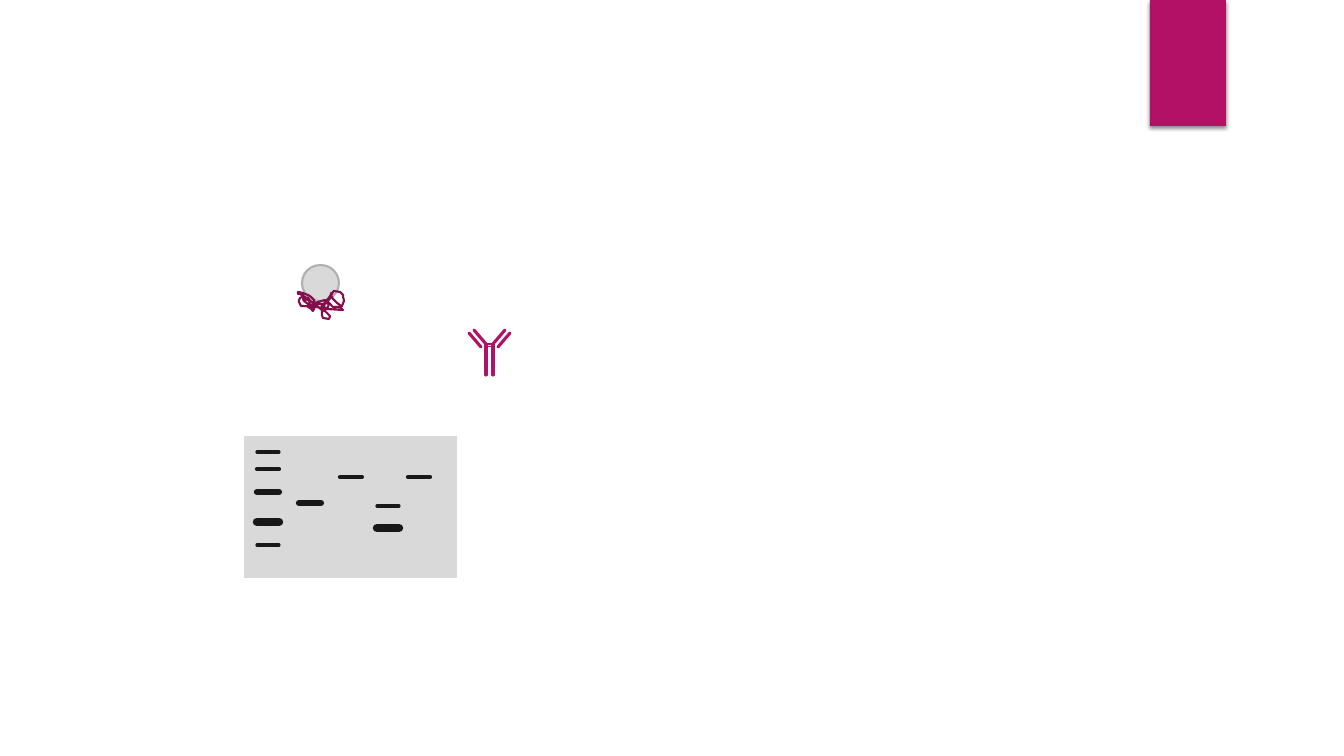
from lxml.etree import SubElement
from pptx import Presentation
from pptx.dml.color import RGBColor
from pptx.enum.shapes import MSO_CONNECTOR, MSO_SHAPE
from pptx.oxml.ns import qn
from pptx.util import Pt

PX = 914400 / 100.8
COLORS = {"accent": "B31166", "protein": "840D4B", "gel": "D9D9D9",
          "band": "181818", "bead_edge": "B0B0B0", "shadow": "000000"}

LANE_X = [257, 299, 340, 377, 408]
BAND_WIDTH = 22
BANDS = [(0, 452, 2.25), (0, 469, 3), (0, 492, 4.5), (0, 522, 6), (0, 545, 2.25),
         (1, 503, 4.5), (2, 477, 3), (3, 528, 6), (3, 506, 2.25), (4, 477, 3)]

ARMS = [(493, 345, 493, 375), (498, 347, 510, 333), (505, 330, 493, 344)]
MIRROR_SUM = 979
HINGES = [344, 347]

PROTEIN = [
    (17, 16), (5, 15), (3, 15), (2, 13), (1, 11), (1, 9), (2, 7), (4, 6), (10, 7),
    (11, 8), (12, 16), (14, 19), (15, 20), (16, 18), (16, 16), (17, 14), (16, 9),
    (12, 5), (10, 4), (7, 3), (5, 2), (0, 1), (0, 3), (2, 3), (7, 6), (14, 11),
    (19, 15), (24, 19), (27, 20), (32, 25), (31, 28), (25, 27), (24, 24), (24, 14),
    (25, 13), (27, 12), (31, 13), (30, 16), (29, 17), (27, 17), (17, 16), (10, 13),
    (6, 10), (5, 8), (10, 9), (11, 10), (15, 11), (16, 12), (18, 13), (20, 13),
    (26, 13), (27, 11), (30, 10), (33, 6), (33, 2), (33, 4), (34, 6), (35, 8),
    (36, 9), (39, 12), (42, 14), (43, 17), (45, 19), (28, 18), (26, 17), (27, 11),
    (30, 8), (32, 5), (34, 3), (35, 1), (36, 0), (42, 1), (44, 3), (45, 4), (45, 5),
    (46, 10), (44, 15), (43, 16), (35, 16), (32, 13), (29, 10), (27, 9), (20, 11),
    (15, 13), (10, 15), (9, 15), (10, 16), (14, 18)]


def px(n):
    """Turn px into EMU."""
    return round(n * PX)


class Canvas:
    """Draw styled elements on the current slide."""

    def __init__(self, s):
        """Keep the slide."""
        self.s = s

    def group(self):
        """Add a group and return its shapes."""
        return self.s.shapes.add_group_shape().shapes

    def stroke(self, line, color, weight):
        """Set the colour and weight of a line."""
        line.color.rgb = RGBColor.from_string(COLORS[color])
        line.width = Pt(weight)

    def shape(self, shapes, kind, x, y, w, h, fill, edge=None):
        """Add a filled preset shape."""
        sp = shapes.add_shape(kind, px(x), px(y), px(w), px(h))
        sp.shadow.inherit = False
        sp.fill.solid()
        sp.fill.fore_color.rgb = RGBColor.from_string(COLORS[fill])
        if edge:
            self.stroke(sp.line, edge, 1.5)
        else:
            sp.line.fill.background()
        return sp

    def drop_shadow(self, sp):
        """Give a shape a soft shadow below it."""
        effects = sp._element.spPr.find(qn("a:effectLst"))
        outer = SubElement(effects, qn("a:outerShdw"), blurRad=str(Pt(3)),
                           dist=str(Pt(2)), dir="5400000", rotWithShape="0")
        color = SubElement(outer, qn("a:srgbClr"), val=COLORS["shadow"])
        SubElement(color, qn("a:alpha"), val="45000")

    def line(self, shapes, x1, y1, x2, y2, color, weight):
        """Add a straight line with round ends."""
        c = shapes.add_connector(MSO_CONNECTOR.STRAIGHT, px(x1), px(y1), px(x2), px(y2))
        self.stroke(c.line, color, weight)
        c.line._get_or_add_ln().set("cap", "rnd")
        SubElement(c._element.spPr, qn("a:effectLst"))

    def outline(self, shapes, x, y, points, color, weight):
        """Add an unfilled closed outline."""
        builder = shapes.build_freeform(*points[0], scale=PX)
        builder.add_line_segments(points[1:], close=True)
        sp = builder.convert_to_shape(px(x), px(y))
        sp.shadow.inherit = False
        sp.fill.background()
        self.stroke(sp.line, color, weight)


def main():
    """Build and save the slide."""
    prs = Presentation()
    prs.slide_width, prs.slide_height = px(1344), px(756)
    s = prs.slides.add_slide(prs.slide_layouts[6])
    canvas = Canvas(s)

    tab = canvas.shape(s.shapes, MSO_SHAPE.RECTANGLE, 1150, 0, 76, 126, "accent")
    canvas.drop_shadow(tab)

    gel = canvas.group()
    canvas.shape(gel, MSO_SHAPE.FLOWCHART_PROCESS, 244, 436, 213, 142, "gel")
    for lane, y, weight in BANDS:
        x = LANE_X[lane]
        canvas.line(gel, x, y, x + BAND_WIDTH, y, "band", weight)

    bead = canvas.group()
    canvas.shape(bead, MSO_SHAPE.OVAL, 302, 265, 37, 36, "gel", "bead_edge")
    canvas.outline(bead, 298, 291, PROTEIN, "protein", 1.5)

    antibody = canvas.group()
    for x1, y1, x2, y2 in ARMS:
        canvas.line(antibody, x1, y1, x2, y2, "accent", 2.25)
        canvas.line(antibody, MIRROR_SUM - x1, y1, MIRROR_SUM - x2, y2, "accent", 2.25)
    for y in HINGES:
        canvas.line(antibody, 486, y, 493, y, "accent", 0.75)

    prs.save("out.pptx")


if __name__ == "__main__":
    main()
